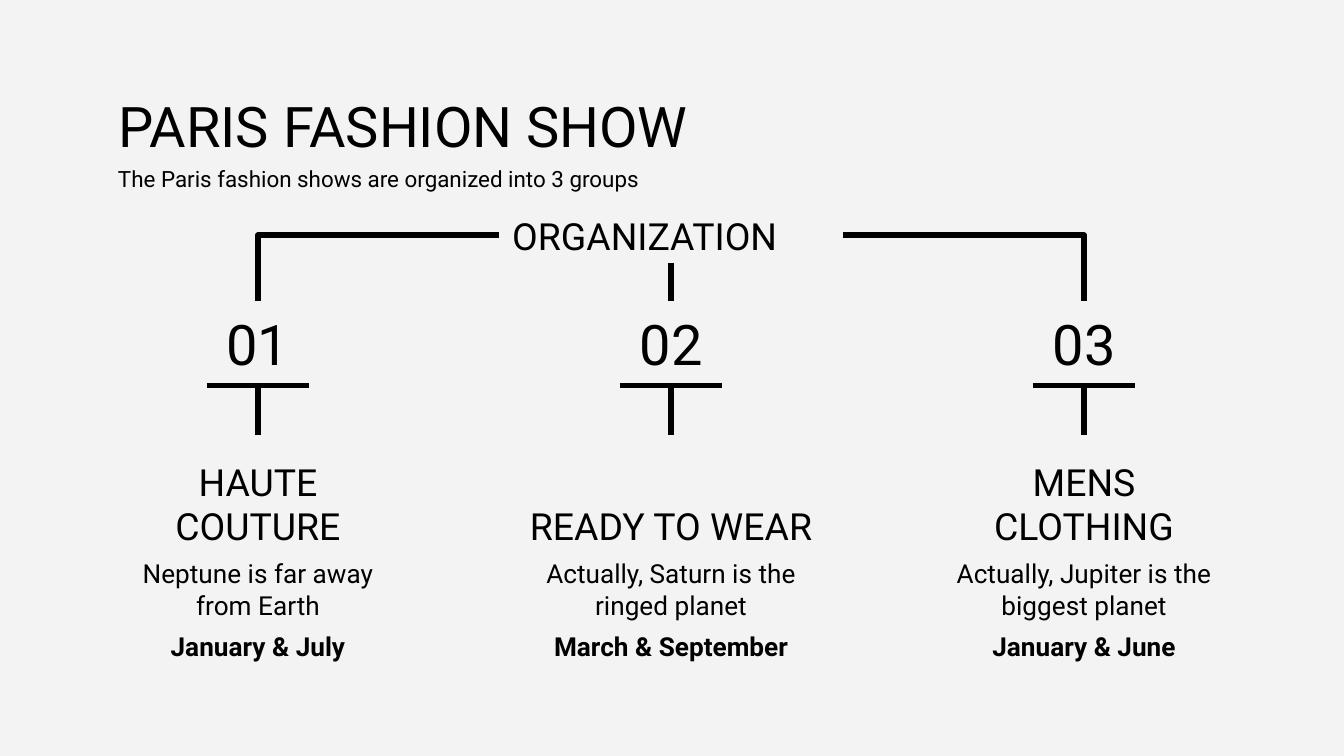
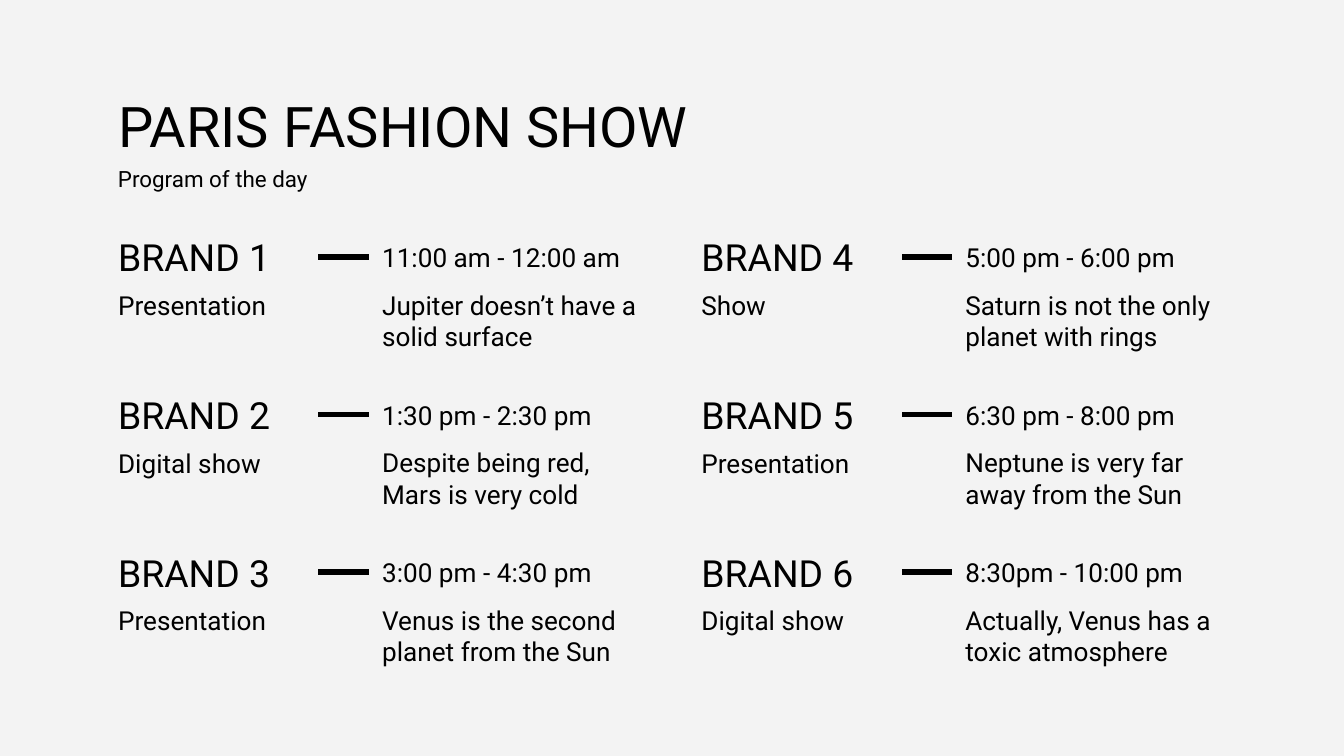
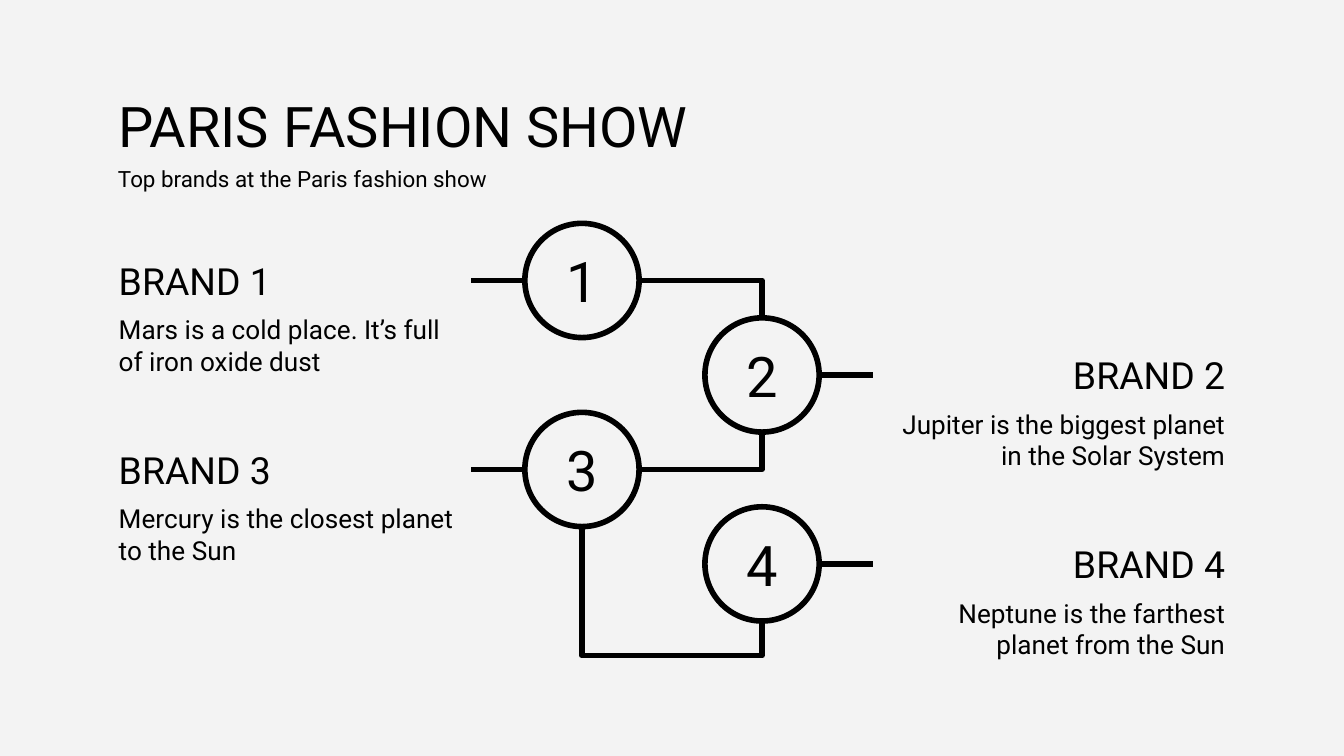
from lxml import etree
from pptx import Presentation
from pptx.dml.color import RGBColor
from pptx.enum.shapes import MSO_CONNECTOR, MSO_SHAPE
from pptx.enum.text import MSO_ANCHOR, MSO_AUTO_SIZE, PP_ALIGN
from pptx.oxml.ns import qn
from pptx.util import Inches, Pt

WIDTH = Inches(10)
HEIGHT = WIDTH * 9 // 16
COLUMN, ROW = WIDTH / 100, HEIGHT / 56.25  # grid of 100 columns by 56.25 rows
TITLE_ONLY = 5
BACKGROUND, INK = "F3F3F3", "000000"
FONT = "Roboto"
TITLE_SIZE, HEADING_SIZE, BODY_SIZE, SUBTITLE_SIZE = 30, 20, 14, 12
LINE_WIDTH = 3
INSET = 0.1
MARGIN, CONTENT_WIDTH = 7.8, 84.4

LEFT, CENTER, RIGHT = PP_ALIGN.LEFT, PP_ALIGN.CENTER, PP_ALIGN.RIGHT
TOP, MIDDLE, BOTTOM = MSO_ANCHOR.TOP, MSO_ANCHOR.MIDDLE, MSO_ANCHOR.BOTTOM
NO_AUTOFIT = MSO_AUTO_SIZE.NONE
STRAIGHT, ELBOW = MSO_CONNECTOR.STRAIGHT, MSO_CONNECTOR.ELBOW
OVAL = MSO_SHAPE.OVAL
SIDE_TOP, SIDE_LEFT, SIDE_BOTTOM, SIDE_RIGHT = range(4)

GROUPS = [
    ("01", "HAUTE COUTURE", "Neptune is far away from Earth", "January & July"),
    ("02", "READY TO WEAR", "Actually, Saturn is the ringed planet", "March & September"),
    ("03", "MENS CLOTHING", "Actually, Jupiter is the biggest planet", "January & June"),
]
PROGRAM = [
    ("BRAND 1", "Presentation", "11:00 am - 12:00 am", "Jupiter doesn’t have a solid surface"),
    ("BRAND 2", "Digital show", "1:30 pm - 2:30 pm", "Despite being red, Mars is very cold"),
    ("BRAND 3", "Presentation", "3:00 pm - 4:30 pm", "Venus is the second planet from the Sun"),
    ("BRAND 4", "Show", "5:00 pm - 6:00 pm", "Saturn is not the only planet with rings"),
    ("BRAND 5", "Presentation", "6:30 pm - 8:00 pm", "Neptune is very far away from the Sun"),
    ("BRAND 6", "Digital show", "8:30pm - 10:00 pm", "Actually, Venus has a toxic atmosphere"),
]
TOP_BRANDS = [
    ("BRAND 1", "Mars is a cold place. It’s full of iron oxide dust"),
    ("BRAND 2", "Jupiter is the biggest planet in the Solar System"),
    ("BRAND 3", "Mercury is the closest planet to the Sun"),
    ("BRAND 4", "Neptune is the farthest planet from the Sun"),
]


def color(hex_string):
    return RGBColor.from_string(hex_string)


def across(columns):
    return round(columns * COLUMN)


def down(rows):
    return round(rows * ROW)


def place(left, top, width, height):
    return across(left), down(top), across(width), down(height)


def write(shape, text, size, align=LEFT, anchor=TOP, inset=INSET, bold=False):
    """Put one formatted run in a shape; inset is the vertical margin in inches."""
    frame = shape.text_frame
    frame.word_wrap = True
    frame.auto_size = NO_AUTOFIT
    frame.vertical_anchor = anchor
    frame.margin_left = frame.margin_right = Inches(INSET)
    frame.margin_top = frame.margin_bottom = Inches(inset)
    paragraph = frame.paragraphs[0]
    paragraph.alignment = align
    run = paragraph.add_run()
    run.text = text
    run.font.name = FONT
    run.font.size = Pt(size)
    run.font.bold = bold
    run.font.color.rgb = color(INK)


def add_text(slide, box, text, size, **style):
    shape = slide.shapes.add_textbox(*place(*box))
    write(shape, text, size, **style)
    return shape


def add_line(slide, start, end, kind=STRAIGHT):
    connector = slide.shapes.add_connector(
        kind, across(start[0]), down(start[1]), across(end[0]), down(end[1]))
    connector.line.color.rgb = color(INK)
    connector.line.width = Pt(LINE_WIDTH)
    etree.SubElement(connector._element.spPr, qn("a:effectLst"))
    return connector


def add_corner(slide, start, end):
    """Draw a line that runs across first, then turns once."""
    connector = add_line(slide, start, end, ELBOW)
    connector._element.spPr.find(qn("a:prstGeom")).set("prst", "bentConnector2")


def add_loop(slide, start, end, drop):
    """Draw a line that runs down to a drop below start, across, and up to end."""
    middle_x, middle_y = (start[0] + end[0]) / 2, (start[1] + end[1]) / 2
    half_width, half_height = (end[0] - start[0]) / 2, (end[1] - start[1]) / 2
    connector = add_line(slide, (middle_x + half_height, middle_y - half_width),
                         (middle_x - half_height, middle_y + half_width), ELBOW)
    properties = connector._element.spPr
    properties.find(qn("a:xfrm")).set("rot", str(270 * 60000))
    adjustments = properties.find(qn("a:prstGeom")).get_or_add_avLst()
    share = round(drop / (end[1] - start[1]) * 100000)
    etree.SubElement(adjustments, qn("a:gd"), name="adj1", fmla=f"val {share}")


def join(slide, first, first_side, second, second_side):
    connector = add_line(slide, (0, 0), (0, 0))
    connector.begin_connect(first, first_side)
    connector.end_connect(second, second_side)


def add_circle(slide, box, text):
    circle = slide.shapes.add_shape(OVAL, *place(*box))
    circle.shadow.inherit = False
    circle.fill.background()
    circle.line.color.rgb = color(INK)
    circle.line.width = Pt(LINE_WIDTH)
    write(circle, text, TITLE_SIZE, align=CENTER, anchor=MIDDLE)


def add_titled_slide(presentation, subtitle):
    slide = presentation.slides.add_slide(presentation.slide_layouts[TITLE_ONLY])
    title = slide.shapes.title
    title.left, title.top, title.width, title.height = place(MARGIN, 5.8, CONTENT_WIDTH, 6.3)
    write(title, "PARIS FASHION SHOW", TITLE_SIZE)
    add_text(slide, (MARGIN, 11.3, CONTENT_WIDTH, 3.2), subtitle, SUBTITLE_SIZE)
    return slide


def add_organization(presentation):
    slide = add_titled_slide(presentation, "The Paris fashion shows are organized into 3 groups")
    first_center, pitch = 19.2, 30.73
    group_width, number_width, rule_width = 23.1, 10.5, 7.6
    root_width, root_middle, number_top, rule_y = 25.6, 17.5, 22.4, 28.7
    root_center = first_center + pitch
    root_left, root_right = root_center - root_width / 2, root_center + root_width / 2
    root = add_text(slide, (root_left, root_middle - 2.1, root_width, 4.2), "ORGANIZATION",
                    HEADING_SIZE, anchor=MIDDLE, inset=0)
    add_corner(slide, (root_left, root_middle), (first_center, number_top))
    add_corner(slide, (root_right, root_middle), (first_center + 2 * pitch, number_top))

    for index, (number, name, description, months) in enumerate(GROUPS):
        center = first_center + index * pitch
        left = center - group_width / 2
        number_box = add_text(
            slide, (center - number_width / 2, number_top, number_width, rule_y - number_top),
            number, TITLE_SIZE, align=CENTER, anchor=MIDDLE)
        add_line(slide, (center - rule_width / 2, rule_y), (center + rule_width / 2, rule_y))
        heading = add_text(slide, (left, 32.4, group_width, 8.4), name, HEADING_SIZE,
                           align=CENTER, anchor=BOTTOM, inset=0)
        add_text(slide, (left, 41.5, group_width, 4.9), description, BODY_SIZE,
                 align=CENTER, inset=0)
        add_text(slide, (left, 45.9, group_width, 4.4), months, BODY_SIZE,
                 align=CENTER, bold=True)
        join(slide, number_box, SIDE_BOTTOM, heading, SIDE_TOP)
        if index == 1:
            join(slide, root, SIDE_BOTTOM, number_box, SIDE_TOP)


def add_program(presentation):
    slide = add_titled_slide(presentation, "Program of the day")
    rows, column_pitch, row_pitch = 3, 43.4, 11.73
    for index, (brand, event, hours, description) in enumerate(PROGRAM):
        column, row = divmod(index, rows)
        left = MARGIN + column * column_pitch
        details_left = left + 19.65
        top = 16.27 + row * row_pitch
        brand_box = add_text(slide, (left, top + 0.95, 15.9, 3.8), brand, HEADING_SIZE,
                             anchor=MIDDLE)
        add_text(slide, (left, top + 4.25, 15.9, 3.8), event, BODY_SIZE)
        hours_box = add_text(slide, (details_left, top, 21.4, 5.7), hours, BODY_SIZE,
                             anchor=MIDDLE)
        add_text(slide, (details_left, top + 4.25, 21.4, 6.3), description, BODY_SIZE)
        join(slide, hours_box, SIDE_LEFT, brand_box, SIDE_RIGHT)


def add_top_brands(presentation):
    slide = add_titled_slide(presentation, "Top brands at the Paris fashion show")
    diameter, text_width, stub, pitch = 8.5, 27.2, 4, 7.03
    radius = diameter / 2
    centers = [((43.3, 56.7)[index % 2], 20.87 + index * pitch)
               for index in range(len(TOP_BRANDS))]

    for number, ((x, y), (brand, description)) in enumerate(zip(centers, TOP_BRANDS), 1):
        on_left = number % 2 == 1
        direction = -1 if on_left else 1
        edge = x + direction * radius
        text_edge = edge + direction * stub
        text_left = text_edge - text_width if on_left else text_edge
        align = LEFT if on_left else RIGHT
        brand_box = add_text(slide, (text_left, y - 1.6, text_width, 3.2), brand,
                             HEADING_SIZE, align=align, anchor=MIDDLE)
        add_text(slide, (text_left, y + 1.2, text_width, 7.2), description, BODY_SIZE,
                 align=align, anchor=MIDDLE)
        add_circle(slide, (x - radius, y - radius, diameter, diameter), str(number))
        connector = add_line(slide, (edge, y), (text_edge, y))
        connector.end_connect(brand_box, SIDE_RIGHT if on_left else SIDE_LEFT)

    first, second, third, fourth = centers
    add_corner(slide, (first[0] + radius, first[1]), (second[0], second[1] - radius))
    add_corner(slide, (third[0] + radius, third[1]), (second[0], second[1] + radius))
    add_loop(slide, (third[0], third[1] + radius), (fourth[0], fourth[1] + radius), 9.6)


def main():
    presentation = Presentation()
    presentation.slide_width, presentation.slide_height = WIDTH, HEIGHT
    background = presentation.slide_master.background.fill
    background.solid()
    background.fore_color.rgb = color(BACKGROUND)
    add_organization(presentation)
    add_program(presentation)
    add_top_brands(presentation)
    presentation.save("out.pptx")


if __name__ == "__main__":
    main()
